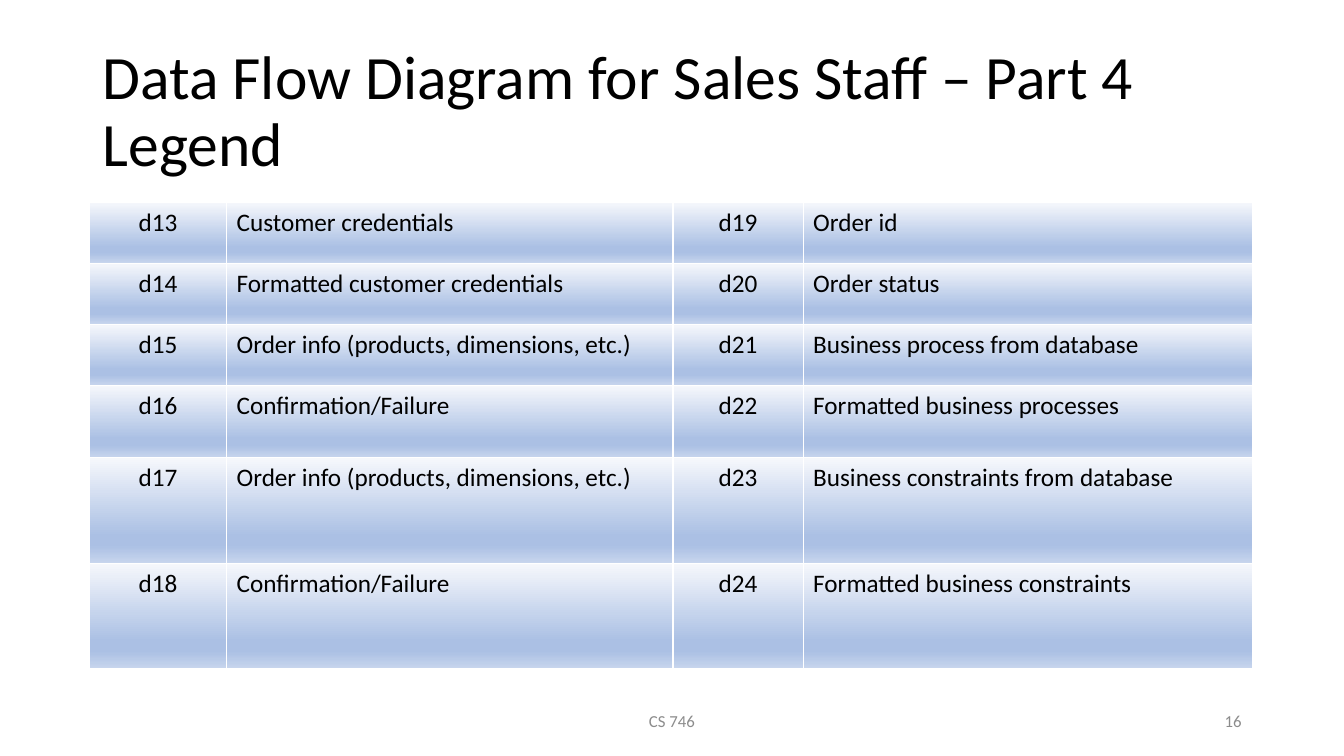
import dataclasses

import pptx
import pptx.dml.color
import pptx.enum.text
import pptx.oxml
import pptx.oxml.ns
import pptx.util

Cm = pptx.util.Cm
Pt = pptx.util.Pt
ALIGN = pptx.enum.text.PP_ALIGN
MIDDLE = pptx.enum.text.MSO_ANCHOR.MIDDLE
NS = pptx.oxml.ns.nsdecls("a")


@dataclasses.dataclass(frozen=True)
class Theme:
    font: str = "Calibri"
    text: str = "000000"
    muted: str = "8C8C8C"
    border: str = "FFFFFF"
    gradient: tuple = ((0, "F6F8FC"), (74, "ABC0E4"), (83, "ABC0E4"), (100, "C7D5ED"))
    title_size: int = 44
    body_size: int = 18
    footer_size: int = 12
    border_width: int = 1


class Deck:
    def __init__(self, theme):
        self.theme = theme
        self.prs = pptx.Presentation()
        self.prs.slide_width = Cm(33.87)
        self.prs.slide_height = Cm(19.05)
        self.slide = None

    def add_slide(self):
        self.slide = self.prs.slides.add_slide(self.prs.slide_layouts[5])

    def set_text(self, tf, text, size, color, **paragraph_format):
        p = tf.paragraphs[0]
        p.text = text
        for name, value in paragraph_format.items():
            setattr(p, name, value)
        for r in p.runs:
            font_format = {"name": self.theme.font, "size": Pt(size), "bold": False}
            for name, value in font_format.items():
                setattr(r.font, name, value)
            r.font.color.rgb = pptx.dml.color.RGBColor.from_string(color)

    def title(self, text, left, top, width, height):
        sp = self.slide.shapes.title
        box = {"left": left, "top": top, "width": width, "height": height}
        for name, value in box.items():
            setattr(sp, name, Cm(value))
        tf = sp.text_frame
        frame_format = {
            "word_wrap": True,
            "vertical_anchor": MIDDLE,
            "auto_size": pptx.enum.text.MSO_AUTO_SIZE.NONE,
        }
        for name, value in frame_format.items():
            setattr(tf, name, value)
        self.set_text(tf, text, self.theme.title_size, self.theme.text,
                      alignment=ALIGN.LEFT, line_spacing=0.9)

    def footer(self, text, left, width, alignment):
        sp = self.slide.shapes.add_textbox(Cm(left), Cm(17.65), Cm(width), Cm(1.02))
        tf = sp.text_frame
        tf.word_wrap = True
        tf.vertical_anchor = MIDDLE
        self.set_text(tf, text, self.theme.footer_size, self.theme.muted,
                      alignment=alignment)

    def style_cell(self, cell):
        tc_pr = cell._tc.get_or_add_tcPr()
        width = Pt(self.theme.border_width)
        for side in "LRTB":
            tc_pr.append(pptx.oxml.parse_xml(
                f'<a:ln{side} {NS} w="{width}"><a:solidFill>'
                f'<a:srgbClr val="{self.theme.border}"/></a:solidFill></a:ln{side}>'))
        stops = "".join(
            f'<a:gs pos="{pos * 1000}"><a:srgbClr val="{color}"/></a:gs>'
            for pos, color in self.theme.gradient)
        tc_pr.append(pptx.oxml.parse_xml(
            f'<a:gradFill {NS} rotWithShape="1"><a:gsLst>{stops}</a:gsLst>'
            '<a:lin ang="5400000" scaled="0"/></a:gradFill>'))

    def table(self, rows, left, top, widths, heights, alignments):
        frame = self.slide.shapes.add_table(
            len(rows), len(widths), Cm(left), Cm(top), Cm(sum(widths)), Cm(sum(heights)))
        table = frame.table
        table.first_row = False
        table.horz_banding = False
        for column, width in zip(table.columns, widths):
            column.width = Cm(width)
        for row, height, texts in zip(table.rows, heights, rows):
            row.height = Cm(height)
            for cell, text, alignment in zip(row.cells, texts, alignments):
                self.set_text(cell.text_frame, text, self.theme.body_size,
                              self.theme.text, alignment=alignment)
                self.style_cell(cell)


def main():
    flows = [
        "Customer credentials",
        "Formatted customer credentials",
        "Order info (products, dimensions, etc.)",
        "Confirmation/Failure",
        "Order info (products, dimensions, etc.)",
        "Confirmation/Failure",
        "Order id",
        "Order status",
        "Business process from database",
        "Formatted business processes",
        "Business constraints from database",
        "Formatted business constraints",
    ]
    labelled = [(f"d{number}", flow) for number, flow in enumerate(flows, 13)]
    half = len(labelled) // 2
    rows = [a + b for a, b in zip(labelled[:half], labelled[half:])]

    deck = Deck(Theme())
    deck.add_slide()
    deck.title("Data Flow Diagram for Sales Staff – Part 4\vLegend", 2.33, 1.01, 29.21, 3.68)
    deck.table(rows, 2.25, 5.09,
               widths=[3.46, 11.25, 3.28, 11.33],
               heights=[1.54] * 3 + [1.82] + [2.66] * 2,
               alignments=[ALIGN.CENTER, ALIGN.LEFT] * 2)
    deck.footer("CS 746", 11.22, 11.43, ALIGN.CENTER)
    deck.footer("16", 23.92, 7.62, ALIGN.RIGHT)
    deck.prs.save("out.pptx")


if __name__ == "__main__":
    main()
